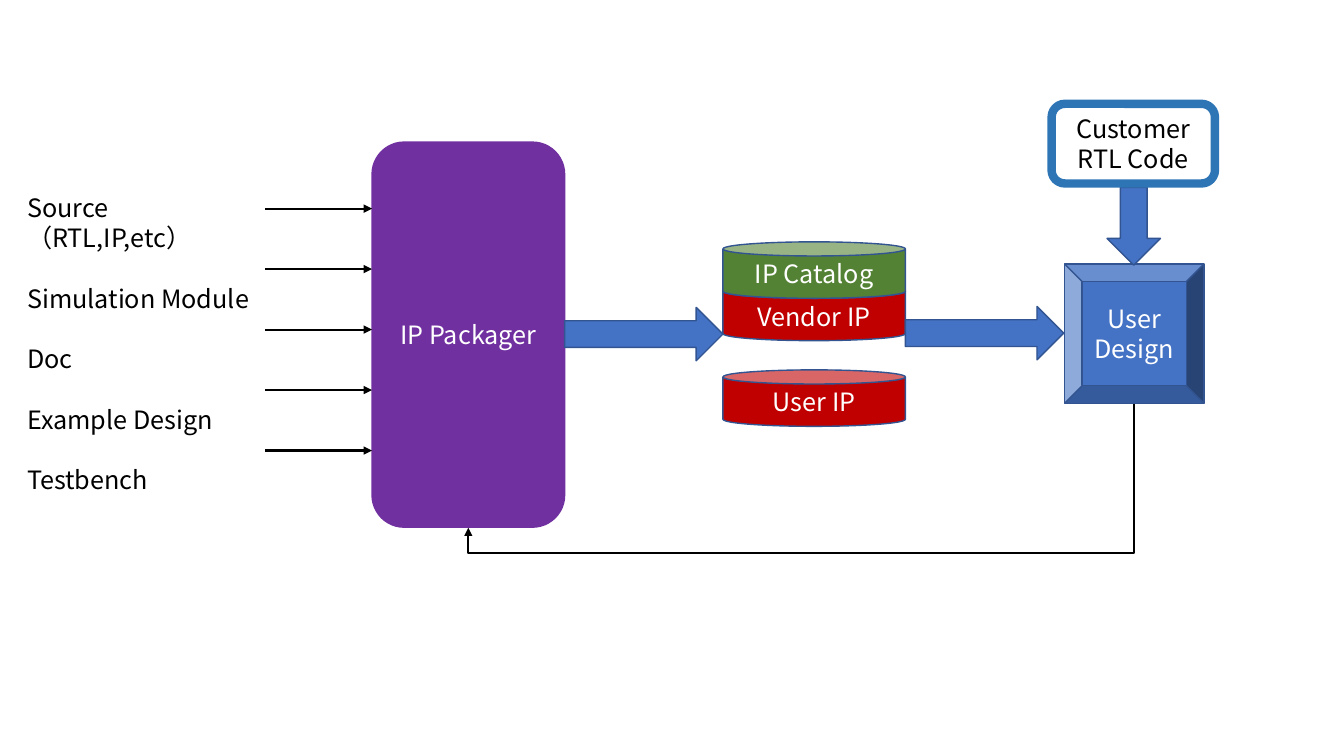
"""Draw the flow from IP sources through the packager and catalog to a user design."""
import lxml.etree
import pptx
import pptx.dml.color
import pptx.enum.shapes
import pptx.enum.text
import pptx.oxml.ns
import pptx.util

FONT = "Noto Sans CJK SC"
BLUE, EDGE, RED = "4472C4", "325491", "C00000"
WHITE, BLACK = "FFFFFF", "000000"
CELL = pptx.util.Inches(0.1)
KIND = pptx.enum.shapes.MSO_SHAPE
LINK = pptx.enum.shapes.MSO_CONNECTOR
ALIGN = pptx.enum.text.PP_ALIGN
qn = pptx.oxml.ns.qn


def paint(fill, colour):
    """Give a fill a solid colour."""
    fill.solid()
    fill.fore_color.rgb = pptx.dml.color.RGBColor.from_string(colour)


def write(box, text, colour=WHITE, align=ALIGN.CENTER, anchor="MIDDLE", gap=0):
    """Write one paragraph per line of text, with a gap in points between them."""
    frame = box.text_frame
    frame.word_wrap = True
    frame.vertical_anchor = getattr(pptx.enum.text.MSO_ANCHOR, anchor)
    for number, line in enumerate(text.split("\n")):
        para = frame.add_paragraph() if number else frame.paragraphs[0]
        para.text = line
        para.alignment = align
        if number:
            para.space_before = pptx.util.Pt(gap)
        for span in para.runs:
            span.font.size = pptx.util.Pt(18)
            span.font.name = FONT
            paint(span.font.fill, colour)
            east = lxml.etree.SubElement(span.font._element, qn("a:ea"))
            east.set("typeface", FONT)


deck = pptx.Presentation()
deck.slide_width = pptx.util.Inches(13.33)
deck.slide_height = pptx.util.Inches(7.5)
page = deck.slides.add_slide(deck.slide_layouts[6])

blocks = [
    (KIND.ROUNDED_RECTANGLE, (36.9, 14.1, 19.1, 38.2), "7030A0", "7030A0", 1, "IP Packager", WHITE),
    (KIND.CAN, (71.7, 36.7, 18.1, 5.6), RED, EDGE, 1, "User IP", WHITE),
    (KIND.CAN, (71.7, 28.2, 18.1, 5.6), RED, EDGE, 1, "Vendor IP", WHITE),
    (KIND.CAN, (71.7, 24, 18.1, 5.6), "548235", EDGE, 1, "IP Catalog", WHITE),
    (KIND.BEVEL, (105.6, 26.2, 13.8, 13.8), BLUE, EDGE, 1, "User\nDesign", WHITE),
    (KIND.RIGHT_ARROW, (56, 30.5, 15.7, 5.3), BLUE, EDGE, 1, "", WHITE),
    (KIND.RIGHT_ARROW, (89.8, 30.4, 15.7, 5.3), BLUE, EDGE, 1, "", WHITE),
    (KIND.DOWN_ARROW, (109.8, 18.6, 5.3, 7.7), BLUE, EDGE, 1, "", WHITE),
    (KIND.ROUNDED_RECTANGLE, (104.3, 10.3, 16.2, 7.9), WHITE, "2E75B6", 6,
     "Customer\nRTL Code", BLACK),
]
for kind, place, fill, edge, weight, label, colour in blocks:
    block = page.shapes.add_shape(kind, *(round(CELL * part) for part in place))
    block.shadow.inherit = False
    paint(block.fill, fill)
    paint(block.line.fill, edge)
    block.line.width = pptx.util.Pt(weight)
    if label:
        write(block, label, colour=colour)

inputs = ["Source\v（RTL,IP,etc）", "Simulation Module", "Doc", "Example Design", "Testbench"]
sources = page.shapes.add_textbox(*(round(CELL * part) for part in (1.7, 18.6, 24.8, 28.3)))
write(sources, "\n".join(inputs), colour=BLACK, align=ALIGN.LEFT, anchor="TOP", gap=21.6)

routes = [(LINK.STRAIGHT, (26.3, 20.7 + 6 * row, 36.9, 20.7 + 6 * row)) for row in range(len(inputs))]
routes.append((LINK.ELBOW, (73.3, 13.2, 85.6, 79.2)))
for kind, ends in routes:
    arrow = page.shapes.add_connector(kind, *(round(CELL * part) for part in ends))
    paint(arrow.line.fill, BLACK)
    arrow.line.width = pptx.util.Pt(1.5)
    head = lxml.etree.SubElement(arrow.line._get_or_add_ln(), qn("a:tailEnd"))
    head.set("type", "triangle")
    outline = arrow._element.spPr
    lxml.etree.SubElement(outline, qn("a:effectLst"))
    if kind == LINK.ELBOW:
        outline.find(qn("a:xfrm")).set("rot", "5400000")
        bend = lxml.etree.SubElement(outline.find(qn("a:prstGeom")).find(qn("a:avLst")), qn("a:gd"))
        bend.set("name", "adj1")
        bend.set("fmla", "val 120400")

deck.save("out.pptx")
